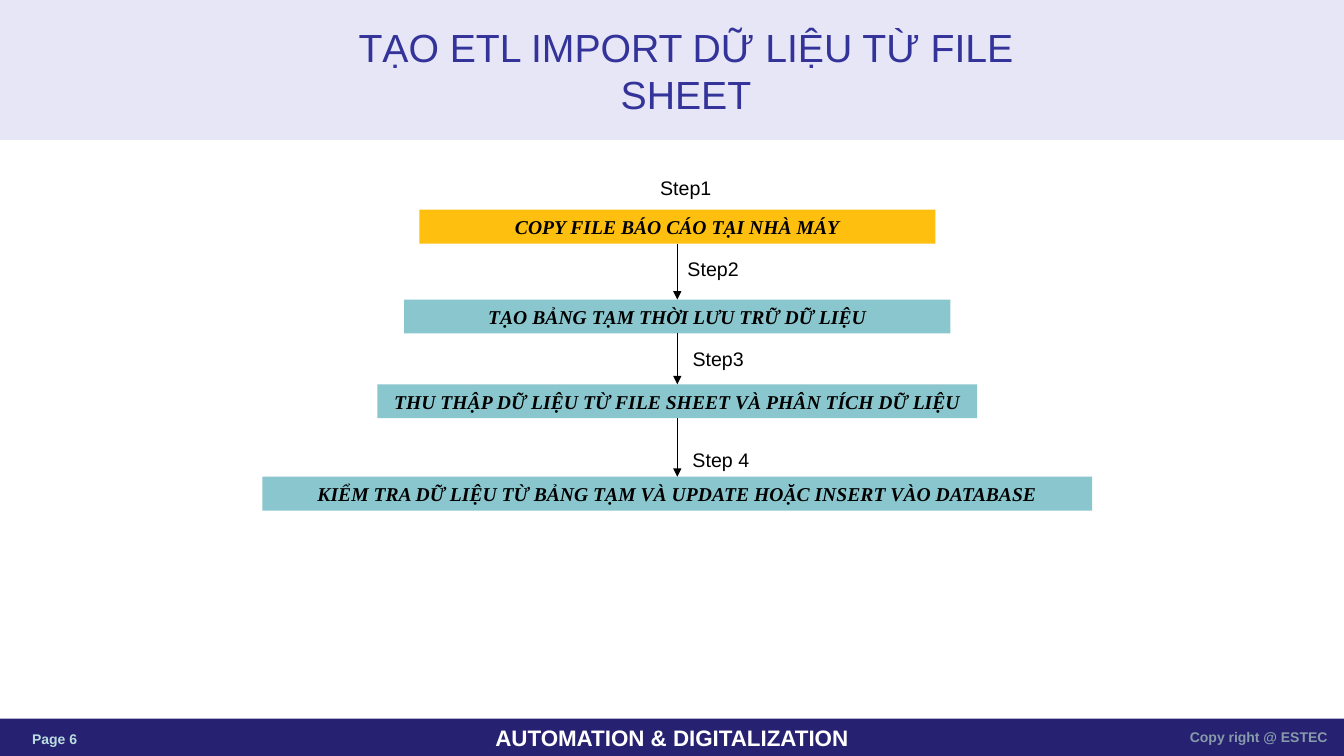
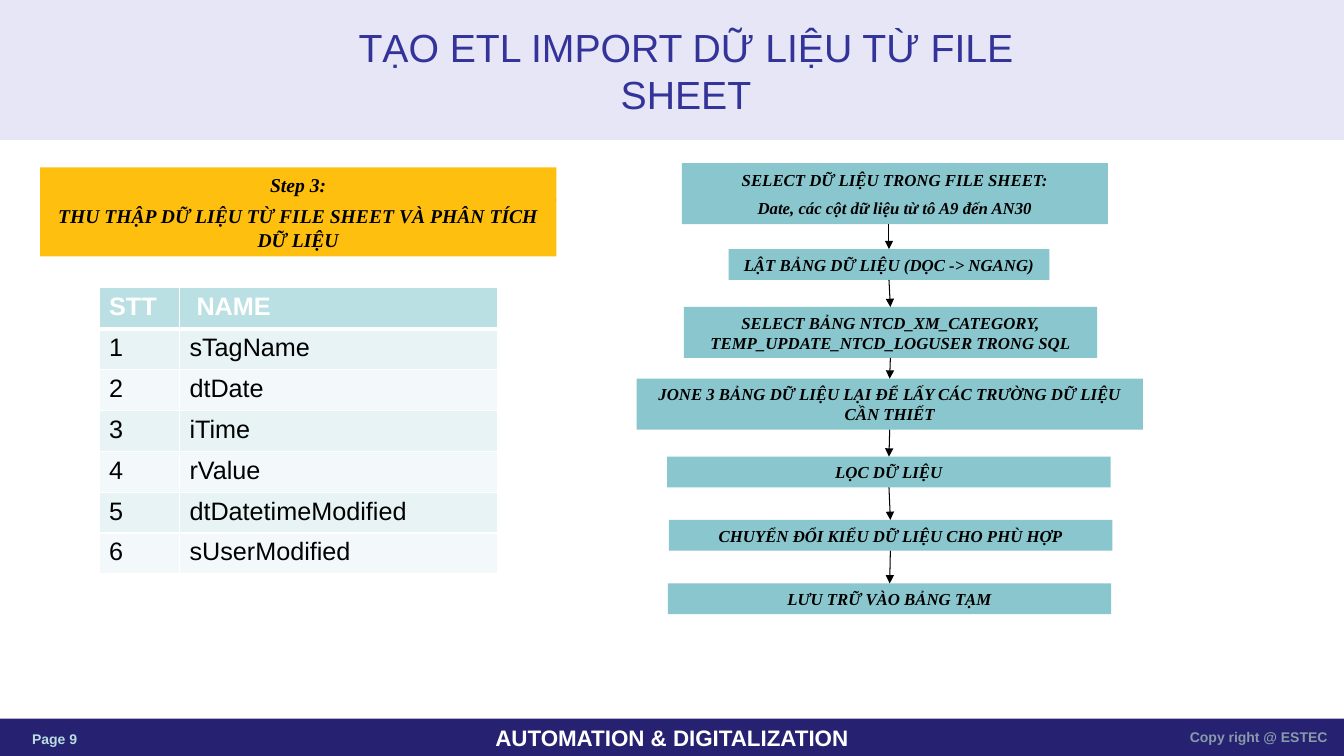
from lxml import etree
from pptx import Presentation
from pptx.dml.color import RGBColor
from pptx.enum.shapes import MSO_CONNECTOR, MSO_SHAPE
from pptx.enum.text import MSO_ANCHOR, PP_ALIGN
from pptx.oxml.ns import qn
from pptx.util import Pt

RECT = MSO_SHAPE.RECTANGLE
STRAIGHT = MSO_CONNECTOR.STRAIGHT
TOP, MIDDLE = MSO_ANCHOR.TOP, MSO_ANCHOR.MIDDLE
LEFT, CENTER, RIGHT = PP_ALIGN.LEFT, PP_ALIGN.CENTER, PP_ALIGN.RIGHT

WIDTH, HEIGHT = 960, 540
COLORS = {
    "band": "E6E6F7", "title": "333399", "footer": "272172",
    "page": "BADDE1", "copyright": "879BAA", "white": "FFFFFF",
    "black": "000000", "gold": "FEBF0F", "teal": "8AC6CD",
    "header": "BBE0E3", "odd": "E7F3F4", "even": "F3F9FA",
}
TITLE = {"size": 28, "color": "title"}
FOOTER = {"size": 16, "color": "white", "bold": True}
PAGE = {"size": 10, "color": "page", "bold": True}
COPYRIGHT = {"size": 10, "color": "copyright", "bold": True}
LABEL = {"size": 14, "color": "black"}
STEP = {"size": 14, "color": "black", "name": "Times New Roman",
        "bold": True, "italic": True}
SMALL_STEP = {**STEP, "size": 12}
HEAD_CELL = {"size": 18, "color": "white", "bold": True}
BODY_CELL = {"size": 18, "color": "black", "bold": False}

HEADING = "TẠO ETL IMPORT DỮ LIỆU TỪ FILE SHEET"
COLLECT = "THU THẬP DỮ LIỆU TỪ FILE SHEET VÀ PHÂN TÍCH DỮ LIỆU"

AXIS = 483.8
OVERVIEW = [
    (149.8, 368.6, "COPY FILE BÁO CÁO TẠI NHÀ MÁY"),
    (214, 390.2, "TẠO BẢNG TẠM THỜI LƯU TRỮ DỮ LIỆU"),
    (274.5, 428.4, COLLECT),
    (340.5, 592.6, "KIỂM TRA DỮ LIỆU TỪ BẢNG TẠM VÀ UPDATE HOẶC INSERT VÀO DATABASE"),
]
LABELS = [
    (464.4, 122.4, "Step1"), (484, 180.2, "Step2"),
    (487.6, 244.4, "Step3"), (487.6, 316.4, "Step 4"),
]
DETAIL = [
    (487, 116.6, 304.4, 43.6, 635,
     ["SELECT DỮ LIỆU TRONG FILE SHEET:", "Date, các cột dữ liệu từ tô A9 đến AN30"]),
    (520.5, 178, 229, 22, 635, ["LẬT BẢNG DỮ LIỆU (DỌC -> NGANG)"]),
    (488.5, 219.3, 295.2, 36.4, 636,
     ["SELECT BẢNG NTCD_XM_CATEGORY, TEMP_UPDATE_NTCD_LOGUSER TRONG SQL"]),
    (454.8, 270.5, 361.6, 36.4, 635.5,
     ["JONE 3 BẢNG DỮ LIỆU LẠI ĐỂ LẤY CÁC TRƯỜNG DỮ LIỆU CẦN THIẾT"]),
    (476.5, 326.2, 316.8, 22, 635, ["LỌC DỮ LIỆU"]),
    (477.8, 371.4, 316.8, 22, 636, ["CHUYỂN ĐỔI KIỂU DỮ LIỆU CHO PHÙ HỢP"]),
    (477, 416.8, 316.8, 22, 635.5, ["LƯU TRỮ VÀO BẢNG TẠM"]),
]
FIELDS = ["sTagName", "dtDate", "iTime", "rValue", "dtDatetimeModified", "sUserModified"]


def rgb(key):
    return RGBColor.from_string(COLORS[key])


def write(tf, lines, fmt, align=LEFT, gap=6):
    for i, line in enumerate(lines):
        p = tf.add_paragraph() if i else tf.paragraphs[0]
        p.alignment = align
        if i:
            p.space_before = Pt(gap)
        r = p.add_run()
        r.text = line
        values = {"name": "Arial", **fmt, "size": Pt(fmt["size"])}
        r.font.color.rgb = rgb(values.pop("color"))
        for key, value in values.items():
            setattr(r.font, key, value)


def add_box(s, x, y, w, h, fill, lines=(), fmt=None):
    sp = s.shapes.add_shape(RECT, Pt(x), Pt(y), Pt(w), Pt(h))
    sp.shadow.inherit = False
    sp.fill.solid()
    sp.fill.fore_color.rgb = rgb(fill)
    sp.line.fill.background()
    sp.text_frame.word_wrap = True
    sp.text_frame.vertical_anchor = MIDDLE
    write(sp.text_frame, lines, fmt, CENTER)


def add_label(s, x, y, w, h, text, fmt, align=LEFT, anchor=TOP, wrap=True, margin=None):
    tf = s.shapes.add_textbox(Pt(x), Pt(y), Pt(w), Pt(h)).text_frame
    tf.word_wrap = wrap
    tf.vertical_anchor = anchor
    if margin is not None:
        for side in ("left", "right", "top", "bottom"):
            setattr(tf, "margin_" + side, Pt(margin))
    write(tf, [text], fmt, align)


def add_arrow(s, x1, y1, x2, y2):
    c = s.shapes.add_connector(STRAIGHT, Pt(x1), Pt(y1), Pt(x2), Pt(y2))
    c.line.width = Pt(0.75)
    c.line.color.rgb = rgb("black")
    etree.SubElement(c.line._get_or_add_ln(), qn("a:tailEnd"), type="triangle")
    etree.SubElement(c._element.spPr, qn("a:effectLst"))


def add_flow(s, steps, fmt, first_fill="teal"):
    for i, (x, y, w, h, axis, lines) in enumerate(steps):
        add_box(s, x, y, w, h, "teal" if i else first_fill, lines, fmt)
    for (_, y, _, h, x1, _), (_, y2, _, _, x2, _) in zip(steps, steps[1:]):
        add_arrow(s, x1, y + h, x2, y2)


def set_borders(cell, widths):
    tcPr = cell._tc.get_or_add_tcPr()
    for side, width in widths.items():
        ln = etree.SubElement(tcPr, qn("a:ln" + side), w=str(Pt(width)))
        fill = etree.SubElement(ln, qn("a:solidFill"))
        etree.SubElement(fill, qn("a:srgbClr"), val=COLORS["white"])


def add_field_table(s, x, y, col_widths, row_height):
    rows = [("STT", "NAME")] + [(str(i), name) for i, name in enumerate(FIELDS, 1)]
    table = s.shapes.add_table(len(rows), len(col_widths), Pt(x), Pt(y),
                               Pt(sum(col_widths)), Pt(row_height * len(rows))).table
    table.first_row = table.horz_banding = False
    for col, width in zip(table.columns, col_widths):
        col.width = Pt(width)
    for i, row in enumerate(rows):
        table.rows[i].height = Pt(row_height)
        fill = ("odd" if i % 2 else "even") if i else "header"
        for j, text in enumerate(row):
            cell = table.cell(i, j)
            set_borders(cell, {"L": 1, "R": 1, "T": 3 if i == 1 else 1, "B": 1 if i else 3})
            cell.fill.solid()
            cell.fill.fore_color.rgb = rgb(fill)
            write(cell.text_frame, [text], BODY_CELL if i else HEAD_CELL)
    table.cell(0, 1).margin_left = Pt(12.2)


def add_slide(prs, page):
    s = prs.slides.add_slide(prs.slide_layouts[6])
    add_box(s, 0, 513.4, WIDTH, 26.6, "footer", ["AUTOMATION & DIGITALIZATION"], FOOTER)
    add_box(s, 0, 0, WIDTH, 100, "band")
    add_label(s, 23, 521.8, 67, 13, f"Page {page}", PAGE, margin=0)
    add_label(s, 828, 518, 120.2, 17, "Copy right @ ESTEC", COPYRIGHT, RIGHT, MIDDLE, margin=0)
    add_label(s, 229, 0, 522, 100, HEADING, TITLE, CENTER, MIDDLE)
    return s


def build_overview(prs):
    s = add_slide(prs, 6)
    steps = [(AXIS - w / 2, y, w, 24.2, AXIS, [text]) for y, w, text in OVERVIEW]
    add_flow(s, steps, STEP, "gold")
    for x, y, text in LABELS:
        add_label(s, x, y, 51 + 4 * (" " in text), 24.2, text, LABEL, wrap=False)


def build_detail(prs):
    s = add_slide(prs, 9)
    add_box(s, 28.6, 119.5, 368.8, 24.2, "gold", ["Step 3:"], STEP)
    add_flow(s, DETAIL, SMALL_STEP)
    add_field_table(s, 70.8, 205.6, (57.4, 227), 29.2)
    add_box(s, 28.6, 142, 368.8, 41.2, "gold", [COLLECT], STEP)


def main():
    prs = Presentation()
    prs.slide_width, prs.slide_height = Pt(WIDTH), Pt(HEIGHT)
    build_overview(prs)
    build_detail(prs)
    prs.save("out.pptx")


if __name__ == "__main__":
    main()
